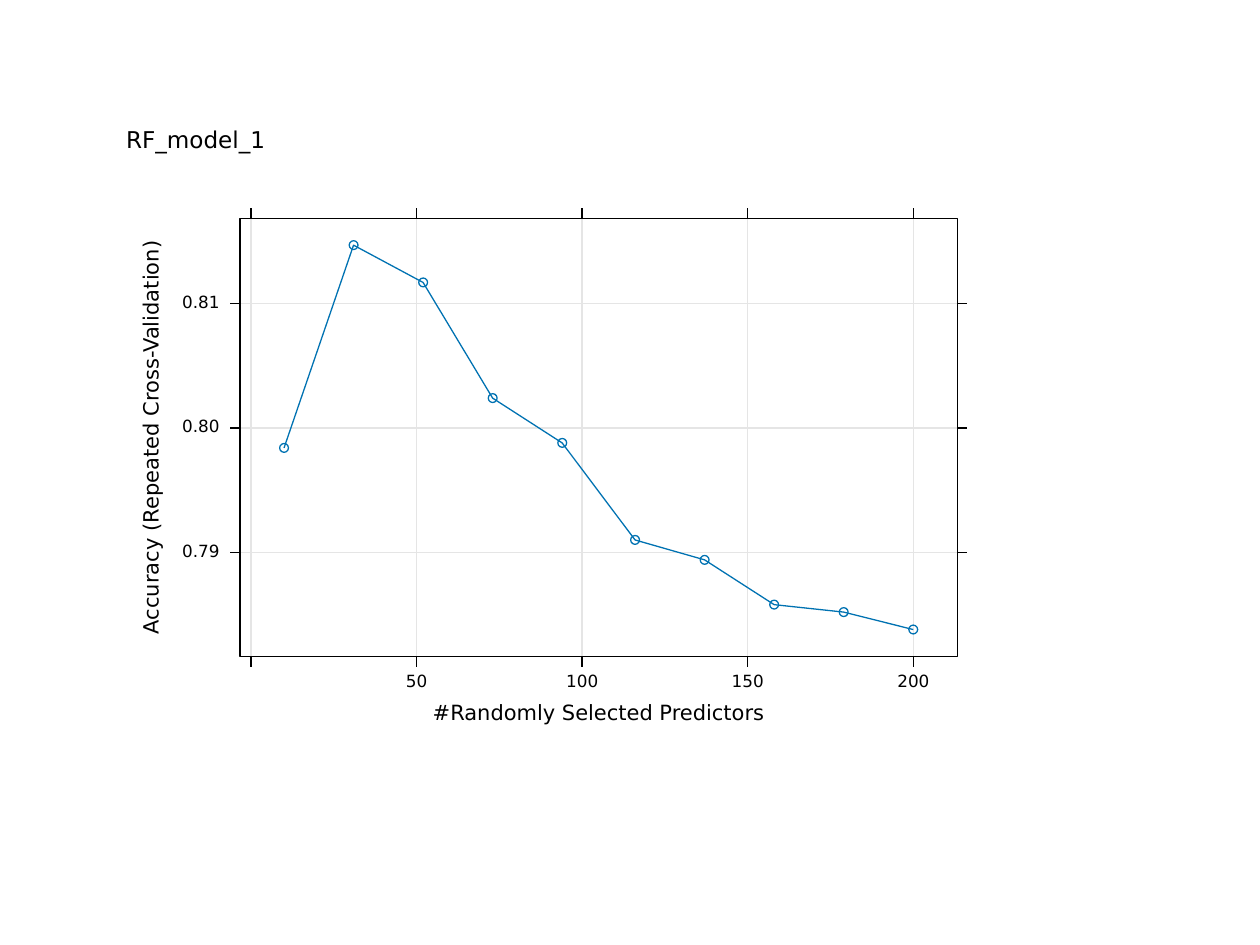
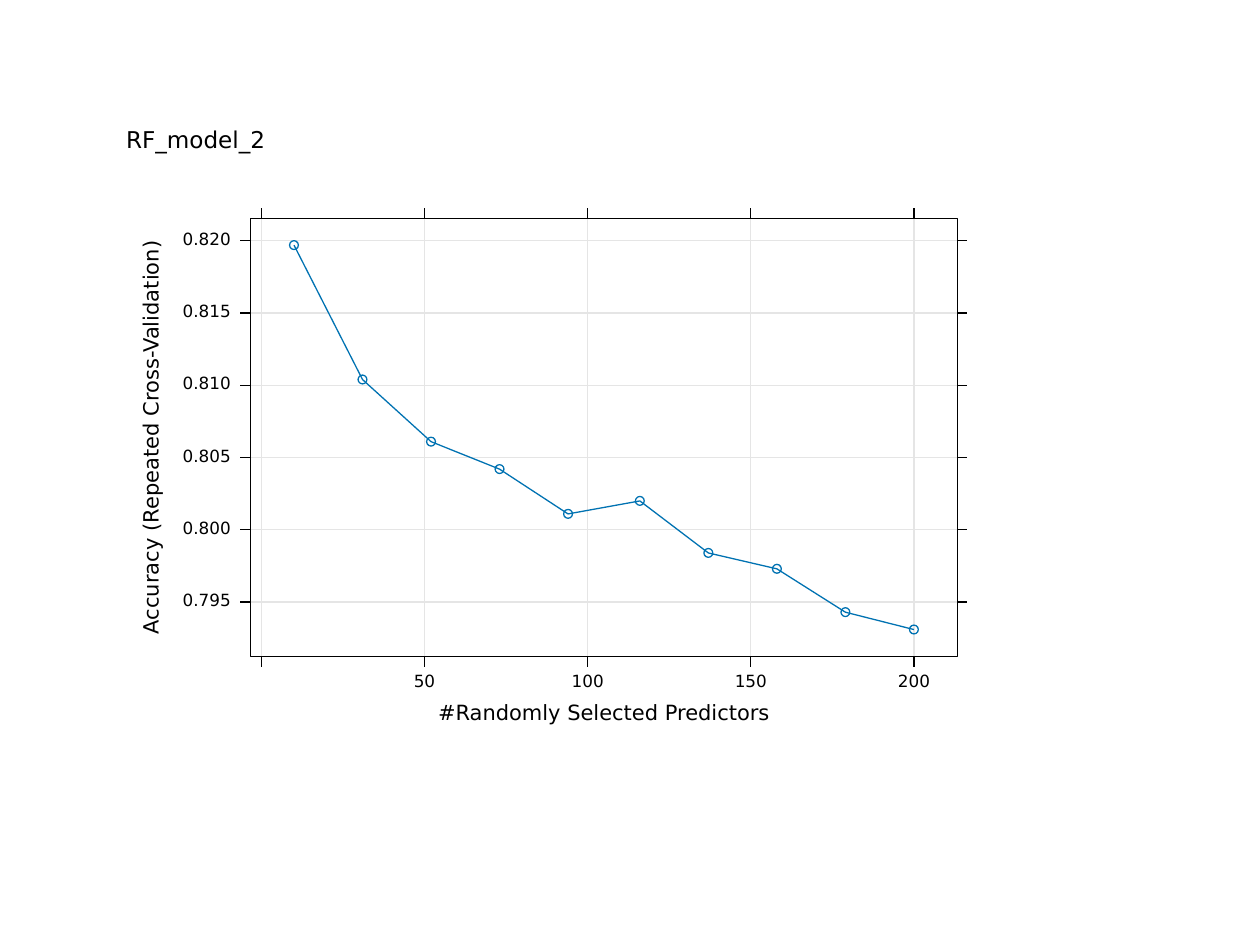
from dataclasses import dataclass
from typing import NamedTuple

from lxml import etree
from pptx import Presentation
from pptx.dml.color import RGBColor
from pptx.enum.shapes import MSO_CONNECTOR, MSO_SHAPE
from pptx.enum.text import MSO_ANCHOR, PP_ALIGN
from pptx.oxml.ns import qn
from pptx.shapes.autoshape import Shape
from pptx.shapes.shapetree import GroupShapes
from pptx.util import Inches, Pt

STRAIGHT = MSO_CONNECTOR.STRAIGHT
RECTANGLE = MSO_SHAPE.RECTANGLE
OVAL = MSO_SHAPE.OVAL
CENTER = PP_ALIGN.CENTER
MIDDLE = MSO_ANCHOR.MIDDLE

BLACK = RGBColor(0x00, 0x00, 0x00)
WHITE = RGBColor(0xFF, 0xFF, 0xFF)
GRID_GRAY = RGBColor(0xE5, 0xE5, 0xE5)
SERIES_BLUE = RGBColor(0x00, 0x72, 0xB2)

FONT = "DejaVu Sans"
TITLE_SIZE = 13.2
AXIS_TITLE_SIZE = 12
TICK_LABEL_SIZE = 9.6
LINE_WIDTH = Pt(0.75)

COLUMNS, ROWS = 100, 75
PANEL_TOP, PANEL_BOTTOM, PANEL_RIGHT = 17.32, 52.1, 75.98
TICK_LENGTH = 0.8
MARKER_SIZE = 0.7
DIGIT_WIDTH = 0.88
LABEL_HEIGHT = 1.0
PREDICTOR_LABEL_ROW = 54.2
AXIS_PADDING = 0.07

PREDICTORS = (10, 31, 52, 73, 94, 116, 137, 158, 179, 200)
PREDICTOR_TICKS = range(0, 201, 50)
PREDICTOR_TITLE = "#Randomly Selected Predictors"
ACCURACY_TITLE = "Accuracy (Repeated Cross-Validation)"


class Box(NamedTuple):
    left: float
    top: float
    width: float
    height: float

    @classmethod
    def around(cls, x: float, y: float, width: float, height: float) -> "Box":
        return cls(x - width / 2, y - height / 2, width, height)


@dataclass(frozen=True)
class Scale:
    low: float
    high: float
    start: float
    end: float

    @classmethod
    def fitting(cls, values: tuple[float, ...], start: float, end: float) -> "Scale":
        padding = AXIS_PADDING * (max(values) - min(values))
        return cls(min(values) - padding, max(values) + padding, start, end)

    def position(self, value: float) -> float:
        share = (value - self.low) / (self.high - self.low)
        return self.start + share * (self.end - self.start)


@dataclass(frozen=True)
class ModelPlot:
    title: str
    panel_left: float
    label_width: float
    accuracies: tuple[float, ...]
    accuracy_labels: tuple[str, ...]


PLOTS = (
    ModelPlot(
        "RF_model_1", 19.05, 3.0,
        (0.7984, 0.8147, 0.8117, 0.8024, 0.7988, 0.7910, 0.7894, 0.7858, 0.7852, 0.7838),
        ("0.79", "0.80", "0.81"),
    ),
    ModelPlot(
        "RF_model_2", 19.89, 3.9,
        (0.8197, 0.8104, 0.8061, 0.8042, 0.8011, 0.8020, 0.7984, 0.7973, 0.7943, 0.7931),
        ("0.795", "0.800", "0.805", "0.810", "0.815", "0.820"),
    ),
)


def cells(count: float) -> int:
    return Inches(count * 10 / COLUMNS)


def add_outline(
    shapes: GroupShapes, kind: MSO_SHAPE, box: Box, color: RGBColor, fill: RGBColor | None = None
) -> None:
    shape = shapes.add_shape(kind, *map(cells, box))
    style_outline(shape, color, fill)


def style_outline(shape: Shape, color: RGBColor, fill: RGBColor | None = None) -> None:
    shape.shadow.inherit = False
    shape.line.color.rgb = color
    shape.line.width = LINE_WIDTH
    if fill is None:
        shape.fill.background()
    else:
        shape.fill.solid()
        shape.fill.fore_color.rgb = fill


def add_line(
    shapes: GroupShapes, x1: float, y1: float, x2: float, y2: float, color: RGBColor = BLACK
) -> None:
    connector = shapes.add_connector(STRAIGHT, cells(x1), cells(y1), cells(x2), cells(y2))
    connector.line.color.rgb = color
    connector.line.width = LINE_WIDTH
    etree.SubElement(connector._element.spPr, qn("a:effectLst"))


def add_label(
    shapes: GroupShapes, text: str, box: Box, size: float, rotation: float = 0
) -> None:
    text_box = shapes.add_textbox(*map(cells, box))
    text_box.rotation = rotation
    frame = text_box.text_frame
    frame.margin_left = frame.margin_right = frame.margin_top = frame.margin_bottom = 0
    frame.word_wrap = False
    frame.vertical_anchor = MIDDLE
    paragraph = frame.paragraphs[0]
    paragraph.alignment = CENTER
    paragraph.line_spacing = Pt(size)
    run = paragraph.add_run()
    run.text = text
    run.font.name = FONT
    run.font.size = Pt(size)
    run.font.color.rgb = BLACK


def add_axes(
    shapes: GroupShapes, plot: ModelPlot, horizontal: Scale, vertical: Scale
) -> None:
    left = plot.panel_left
    for value in PREDICTOR_TICKS:
        x = horizontal.position(value)
        add_line(shapes, x, PANEL_TOP, x, PANEL_TOP - TICK_LENGTH)
        add_line(shapes, x, PANEL_BOTTOM, x, PANEL_BOTTOM + TICK_LENGTH)
        add_line(shapes, x, PANEL_BOTTOM, x, PANEL_TOP, GRID_GRAY)
        if value:
            text = str(value)
            box = Box.around(x, PREDICTOR_LABEL_ROW, len(text) * DIGIT_WIDTH, LABEL_HEIGHT)
            add_label(shapes, text, box, TICK_LABEL_SIZE)
    for text in plot.accuracy_labels:
        y = vertical.position(float(text))
        add_line(shapes, left, y, left - TICK_LENGTH, y)
        add_line(shapes, PANEL_RIGHT, y, PANEL_RIGHT + TICK_LENGTH, y)
        add_line(shapes, left, y, PANEL_RIGHT, y, GRID_GRAY)
        box = Box(14.45, y - 0.53, plot.label_width, LABEL_HEIGHT)
        add_label(shapes, text, box, TICK_LABEL_SIZE)


def add_series(
    shapes: GroupShapes, plot: ModelPlot, horizontal: Scale, vertical: Scale
) -> None:
    points = [
        (horizontal.position(predictors), vertical.position(accuracy))
        for predictors, accuracy in zip(PREDICTORS, plot.accuracies)
    ]
    for x, y in points:
        add_outline(shapes, OVAL, Box.around(x, y, MARKER_SIZE, MARKER_SIZE), SERIES_BLUE)
    vertices = [(cells(x), cells(y)) for x, y in points]
    builder = shapes.build_freeform(*vertices[0])
    builder.add_line_segments(vertices[1:], close=False)
    style_outline(builder.convert_to_shape(), SERIES_BLUE)


def add_plot(shapes: GroupShapes, plot: ModelPlot) -> None:
    left = plot.panel_left
    panel = Box(left, PANEL_TOP, PANEL_RIGHT - left, PANEL_BOTTOM - PANEL_TOP)
    middle_x = left + panel.width / 2
    middle_y = PANEL_TOP + panel.height / 2
    horizontal = Scale.fitting(PREDICTORS, left, PANEL_RIGHT)
    vertical = Scale.fitting(plot.accuracies, PANEL_BOTTOM, PANEL_TOP)

    add_outline(shapes, RECTANGLE, Box(10, 10, 70, 50), WHITE, WHITE)
    add_label(shapes, PREDICTOR_TITLE, Box.around(middle_x, 56.7, 26.5, 1.6), AXIS_TITLE_SIZE)
    add_label(
        shapes, ACCURACY_TITLE, Box.around(12.1, middle_y, 31.7, 1.6), AXIS_TITLE_SIZE, 270
    )
    add_axes(shapes, plot, horizontal, vertical)
    add_series(shapes, plot, horizontal, vertical)
    add_outline(shapes, RECTANGLE, panel, BLACK)
    add_label(shapes, plot.title, Box(9.95, 10.3, 11.15, 1.8), TITLE_SIZE)


def main() -> None:
    presentation = Presentation()
    presentation.slide_width = cells(COLUMNS)
    presentation.slide_height = cells(ROWS)
    blank_layout = presentation.slide_layouts[6]
    for plot in PLOTS:
        slide = presentation.slides.add_slide(blank_layout)
        add_plot(slide.shapes.add_group_shape().shapes, plot)
    presentation.save("out.pptx")


if __name__ == "__main__":
    main()
